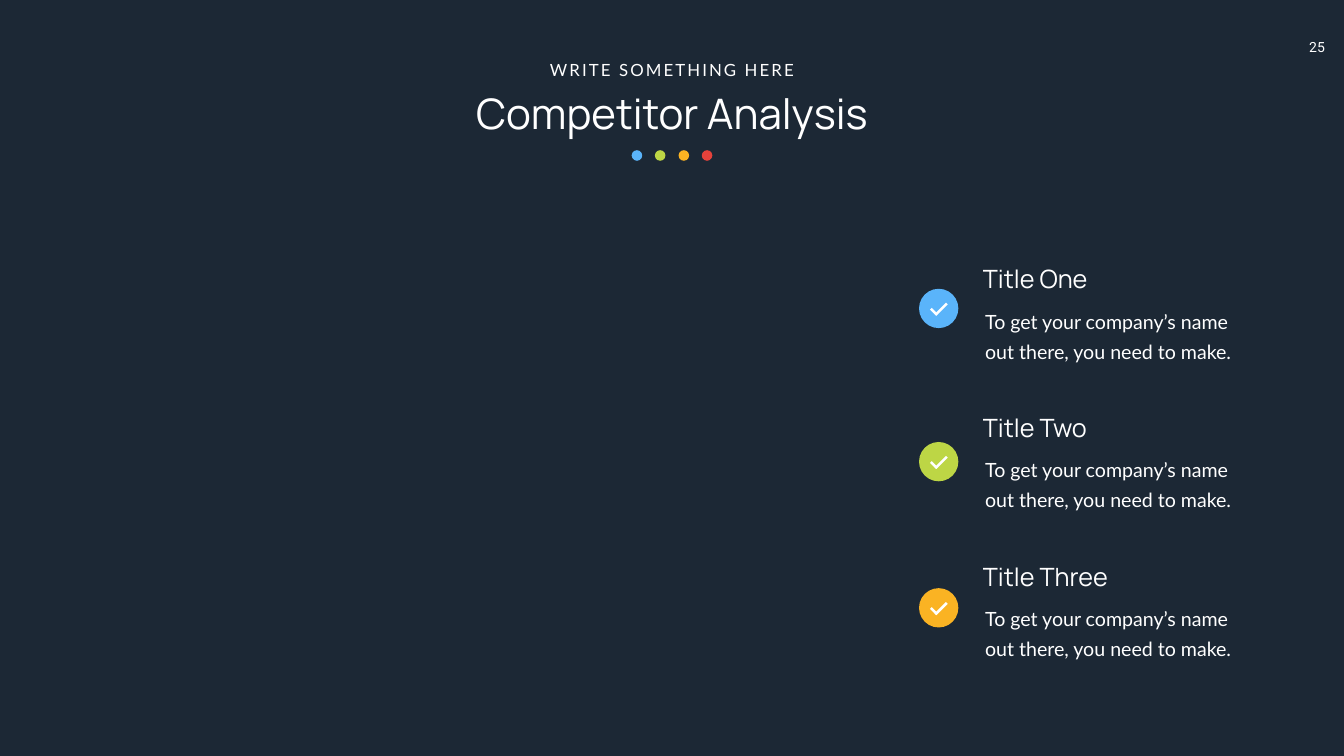
from dataclasses import dataclass

from pptx import Presentation
from pptx import util as u
from pptx.dml.color import RGBColor
from pptx.enum import shapes, text

PX = u.Inches(1) // 100
COLORS = {
    "background": "1C2835",
    "white": "FFFFFF",
    "blue": "5AB4FA",
    "green": "BDD645",
    "orange": "FAB323",
    "red": "E5423B",
}
ITEM_TOP, ITEM_PITCH = 518, 295
DOT_LEFT, DOT_TOP, DOT_SIZE = 1253, 298, 21
DOT_SPAN = 139
BADGE_LEFT, BADGE_SIZE = 1823, 78
DESCRIPTION = "To get your company’s name out there, you need to make."


@dataclass(frozen=True)
class Box:
    left: int
    top: int
    width: int
    height: int

    def emu(self) -> tuple[int, ...]:
        return tuple(v * PX for v in (self.left, self.top, self.width, self.height))


@dataclass(frozen=True)
class Style:
    font: str
    size: int
    align: text.PP_ALIGN = text.PP_ALIGN.LEFT
    inset_x: int = 10
    inset_y: int = 5
    wrap: bool = True
    tracking: int = 0
    line: int = 0


@dataclass(frozen=True)
class Item:
    title: str
    color: str
    badge_top: int


CENTER = text.PP_ALIGN.CENTER
PAGE = Style("Roboto", 20, CENTER, 20, 10)
HEADLINE = Style("Manrope", 60, CENTER)
KICKER = Style("Lato", 24, CENTER, wrap=False, tracking=300)
ITEM_TITLE = Style("Manrope", 36)
ITEM_BODY = Style("Lato", 28, inset_x=24, inset_y=12, line=43)

ITEMS = [
    Item("Title One", "blue", 573),
    Item("Title Two", "green", 877),
    Item("Title Three", "orange", 1167),
]


def write(holder, wording: str, style: Style) -> None:
    frame = holder.text_frame
    frame.text = wording
    frame.word_wrap = style.wrap
    frame.auto_size = text.MSO_AUTO_SIZE.SHAPE_TO_FIT_TEXT
    frame.vertical_anchor = text.MSO_ANCHOR.TOP
    frame.margin_left = frame.margin_right = style.inset_x * PX
    frame.margin_top = frame.margin_bottom = style.inset_y * PX
    paragraph = frame.paragraphs[0]
    paragraph.alignment = style.align
    if style.line:
        paragraph.line_spacing = u.Pt(style.line)
    run = paragraph.runs[0]
    run.font.name = style.font
    run.font.size = u.Pt(style.size)
    run.font.color.rgb = RGBColor.from_string(COLORS["white"])
    if style.tracking:
        run.font._element.set("spc", str(style.tracking))


def add_text(slide, box: Box, wording: str, style: Style) -> None:
    write(slide.shapes.add_textbox(*box.emu()), wording, style)


def add_solid(slide, kind: shapes.MSO_SHAPE, box: Box, color: str, rotation: int = 0) -> None:
    solid = slide.shapes.add_shape(kind, *box.emu())
    solid.shadow.inherit = False
    solid.fill.solid()
    solid.fill.fore_color.rgb = RGBColor.from_string(COLORS[color])
    solid.line.fill.background()
    solid.rotation = rotation


def add_badge(slide, top: int, color: str) -> None:
    add_solid(slide, shapes.MSO_SHAPE.OVAL, Box(BADGE_LEFT, top, BADGE_SIZE, BADGE_SIZE), color)
    short_stroke = Box(BADGE_LEFT + 21, top + 43, 17, 5)
    long_stroke = Box(BADGE_LEFT + 28, top + 38, 32, 5)
    add_solid(slide, shapes.MSO_SHAPE.RECTANGLE, short_stroke, "white", 45)
    add_solid(slide, shapes.MSO_SHAPE.RECTANGLE, long_stroke, "white", 315)


def add_item(slide, top: int, item: Item) -> None:
    add_text(slide, Box(1930, top + 71, 542, 139), DESCRIPTION, ITEM_BODY)
    add_text(slide, Box(1940, top, 453, 71), item.title, ITEM_TITLE)
    add_badge(slide, item.badge_top, item.color)


def main() -> None:
    deck = Presentation()
    deck.slide_width, deck.slide_height = 2666 * PX, 1500 * PX
    slide = deck.slides.add_slide(deck.slide_layouts[5])
    slide.background.fill.solid()
    slide.background.fill.fore_color.rgb = RGBColor.from_string(COLORS["background"])

    headline = slide.shapes.title
    headline.left, headline.top, headline.width, headline.height = Box(530, 168, 1606, 111).emu()
    write(headline, "Competitor Analysis", HEADLINE)
    add_text(slide, Box(1076, 113, 514, 50), "WRITE SOMETHING HERE", KICKER)
    add_text(slide, Box(2562, 67, 101, 54), "25", PAGE)

    for index, color in enumerate(("blue", "green", "orange", "red")):
        left = DOT_LEFT + round(index * DOT_SPAN / 3)
        add_solid(slide, shapes.MSO_SHAPE.OVAL, Box(left, DOT_TOP, DOT_SIZE, DOT_SIZE), color)
    for index, item in enumerate(ITEMS):
        add_item(slide, ITEM_TOP + index * ITEM_PITCH, item)

    deck.save("out.pptx")


if __name__ == "__main__":
    main()
